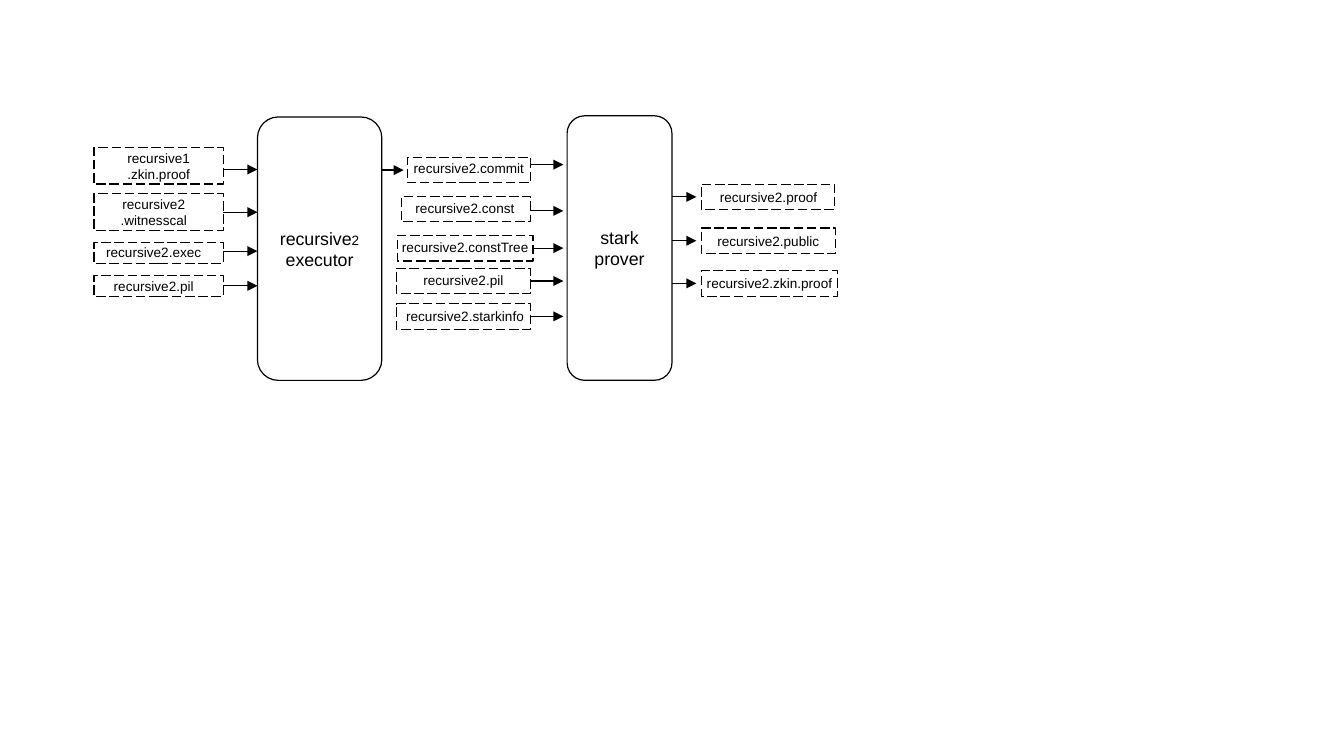
from pptx import Presentation
from pptx.dml.color import RGBColor
from pptx.enum.dml import MSO_LINE
from pptx.enum.shapes import MSO_CONNECTOR, MSO_SHAPE
from pptx.enum.text import MSO_ANCHOR, PP_ALIGN
from pptx.oxml.ns import qn
from pptx.util import Pt
from lxml.etree import SubElement

BLACK, WHITE = "000000", "FFFFFF"
LINE_WIDTH = 0.71
LABEL_SIZE, STAGE_SIZE = 8, 10.5
LEFT, RIGHT = 1, 3  # connection sites

# Stages: left, top, width, height, lines of (text, size) runs
STAGES = {
    "executor": (152, 69.1, 73.4, 155.5,
                 [[("recursive", STAGE_SIZE), ("2", LABEL_SIZE)], [("executor", STAGE_SIZE)]]),
    "prover": (334.8, 68.4, 61.9, 156.2,
               [[("stark", STAGE_SIZE)], [("prover", STAGE_SIZE)]]),
}

# Files: lines, left, top, width, height, right and bottom insets,
# offset of the arrow from the middle of the box
EXECUTOR_INPUTS = [
    (["recursive1", ".zkin.proof"], 55.5, 87.1, 76.4, 21.6, 0, 0, 2.2),
    (["recursive2", ".witnesscal"], 55.5, 114.5, 76.4, 21.6, 5.8, 0, 0),
    (["recursive2.exec"], 55.5, 143.3, 76.4, 12.2, 5.8, 1, -1.1),
    (["recursive2.pil"], 55.5, 162.7, 76.4, 12.2, 5.8, 0, 0),
]
PROVER_INPUTS = [
    (["recursive2.commit"], 240.5, 92.9, 72.7, 15.1, 0, 2, -3.2),
    (["recursive2.const"], 236.9, 115.9, 76.3, 15.1, 1, 1, 1.1),
    (["recursive2.constTree"], 234.7, 139, 79.9, 15.1, 0, 1, 0),
    (["recursive2.pil"], 234, 158.4, 79.2, 15.1, 0, 1, 0),
    (["recursive2.starkinfo"], 234, 179.3, 79.2, 15.1, -2, 0, 0),
]
PROVER_OUTPUTS = [
    (["recursive2.proof"], 414, 108.7, 78.5, 15.1, -1, 0, 0),
    (["recursive2.public"], 414, 134.6, 79.2, 15.1, 0, 0, 0),
    (["recursive2.zkin.proof"], 414, 159.8, 80.6, 15.1, 0, 0, 0),
]
INPUT_GAP, OUTPUT_GAP = 2.2, 2.9  # space left in front of arrowheads

presentation = Presentation()
presentation.slide_width, presentation.slide_height = Pt(793.4), Pt(446.4)
slide = presentation.slides.add_slide(presentation.slide_layouts[6])


def color(value):
    return RGBColor.from_string(value)


def add_box(kind, bounds, lines, right=0, bottom=0):
    shape = slide.shapes.add_shape(kind, *map(Pt, bounds))
    shape.shadow.inherit = False
    shape.line.color.rgb = color(BLACK)
    shape.line.width = Pt(LINE_WIDTH)
    frame_format = {
        "word_wrap": True, "vertical_anchor": MSO_ANCHOR.MIDDLE,
        "margin_left": Pt(max(0, -right)), "margin_right": Pt(max(0, right)),
        "margin_top": Pt(0), "margin_bottom": Pt(bottom),
    }
    for name, value in frame_format.items():
        setattr(shape.text_frame, name, value)
    for index, runs in enumerate(lines):
        paragraphs = shape.text_frame.paragraphs
        paragraph = shape.text_frame.add_paragraph() if index else paragraphs[0]
        paragraph.alignment = PP_ALIGN.CENTER
        for text, size in runs:
            run = paragraph.add_run()
            run.text = text
            run.font.name, run.font.size = "Arial", Pt(size)
            run.font.color.rgb = color(BLACK)
    return shape


def add_file(lines, left, top, width, height, right, bottom):
    runs = [[(line, LABEL_SIZE)] for line in lines]
    shape = add_box(MSO_SHAPE.RECTANGLE, (left, top, width, height), runs, right, bottom)
    shape.fill.background()
    shape.line.dash_style = MSO_LINE.LONG_DASH
    return shape


def add_arrow(start, end, y):
    connector = slide.shapes.add_connector(
        MSO_CONNECTOR.STRAIGHT, Pt(start), Pt(y), Pt(end), Pt(y))
    connector.line.color.rgb = color(BLACK)
    connector.line.width = Pt(LINE_WIDTH)
    SubElement(connector.line._get_or_add_ln(), qn("a:tailEnd"), type="triangle")
    SubElement(connector._element.spPr, qn("a:effectLst"))
    return connector


# Stages
for *bounds, lines in STAGES.values():
    stage = add_box(MSO_SHAPE.ROUNDED_RECTANGLE, bounds, lines)
    stage.fill.solid()
    stage.fill.fore_color.rgb = color(WHITE)

executor_left, _, executor_width, *_ = STAGES["executor"]
prover_left, _, prover_width, *_ = STAGES["prover"]
executor_right = executor_left + executor_width
prover_right = prover_left + prover_width

# Files that enter a stage
for files, end in ((EXECUTOR_INPUTS, executor_left),
                   (PROVER_INPUTS, prover_left - INPUT_GAP)):
    for lines, left, top, width, height, right, bottom, offset in files:
        box = add_file(lines, left, top, width, height, right, bottom)
        arrow = add_arrow(left + width, end, top + height / 2 + offset)
        if not offset:
            arrow.begin_connect(box, RIGHT)

# Files that leave the prover
for lines, left, top, width, height, right, bottom, offset in PROVER_OUTPUTS:
    add_file(lines, left, top, width, height, right, bottom)
    add_arrow(prover_right, left - OUTPUT_GAP, top + height / 2 + offset)

# Executor result
_, commit_left, commit_top, _, commit_height, *_ = PROVER_INPUTS[0]
add_arrow(executor_right, commit_left - INPUT_GAP, commit_top + commit_height / 2)

presentation.save("out.pptx")
